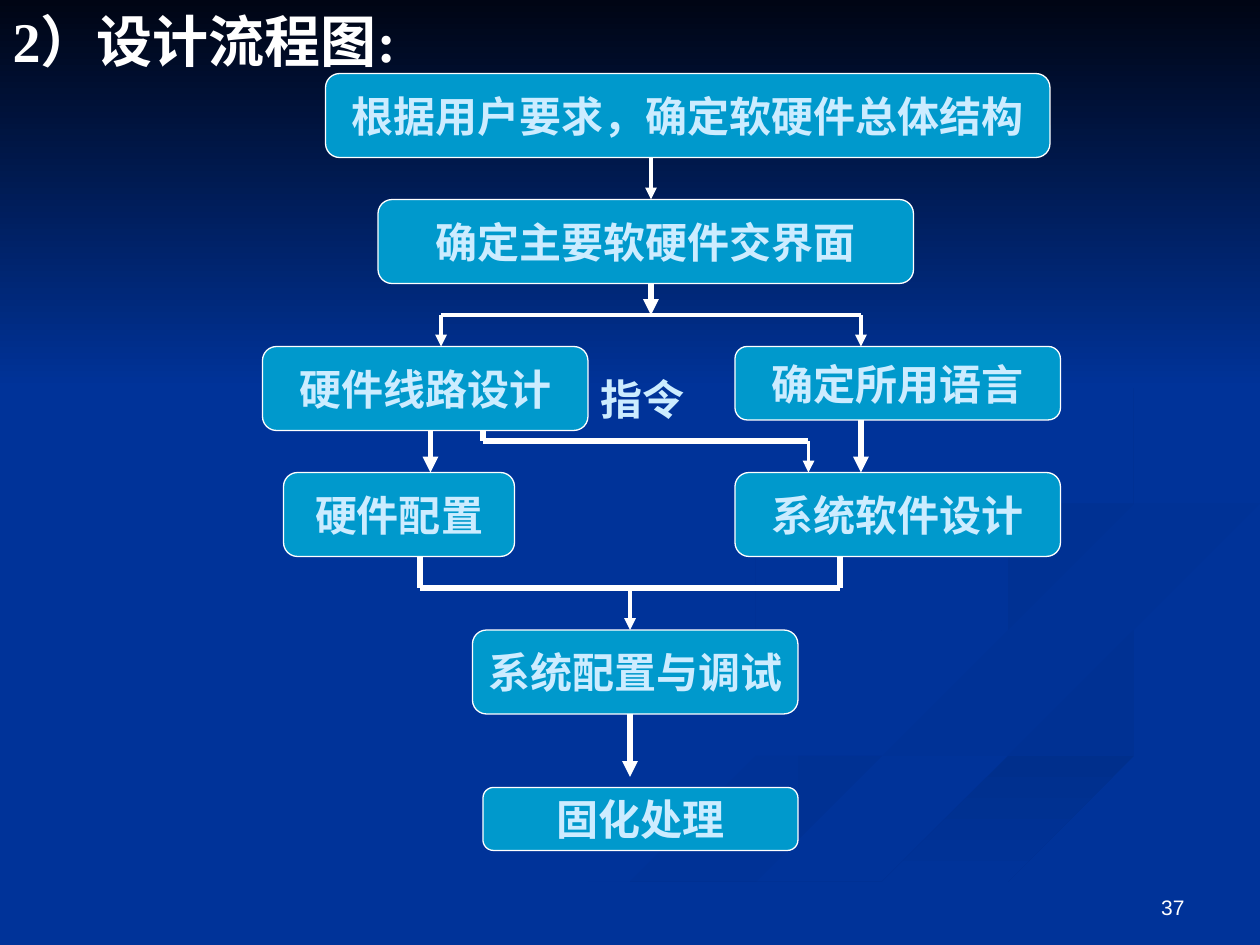
"""Build the design flow chart slide on a grid of 120 columns by 90 rows."""
from lxml.etree import SubElement
from pptx import Presentation
from pptx.dml.color import RGBColor
from pptx.enum.shapes import MSO_CONNECTOR as Link, MSO_SHAPE as Shape
from pptx.enum.text import MSO_ANCHOR as Anchor, MSO_AUTO_SIZE as AutoSize, PP_ALIGN as Align
from pptx.oxml.ns import qn
from pptx.util import Inches, Pt

WHITE = RGBColor(0xFF, 0xFF, 0xFF)
PALE = RGBColor(0xCC, 0xEC, 0xFF)
CYAN = RGBColor(0x00, 0x99, 0xCC)
BLUE = RGBColor(0x00, 0x33, 0x99)
SHADE = RGBColor(0x00, 0x31, 0x93)
DEEP = RGBColor(0x00, 0x2F, 0x8C)
NIGHT = RGBColor(0x00, 0x05, 0x14)

COLUMNS, ROWS = 120, 90
WIDTH, HEIGHT = Inches(10), Inches(7.5)

TITLE = ("2）设计流程图:", (0, 0, 55.8, 7.5))
LABEL = ("指令", (56, 35, 12, 6))
PAGE = ("37", (86, 82, 28, 6.2))
STEPS = [
    ("根据用户要求，确定软硬件总体结构", (31, 7, 69, 8)),
    ("确定主要软硬件交界面", (36, 19, 51, 8)),
    ("硬件线路设计", (25, 33, 31, 8)),
    ("确定所用语言", (70, 33, 31, 7)),
    ("硬件配置", (27, 45, 22, 8)),
    ("系统软件设计", (70, 45, 31, 8)),
    ("系统配置与调试", (45, 60, 31, 8)),
    ("固化处理", (46, 75, 30, 6)),
]
ARROWS = [
    ((62, 15), (62, 19), 2.25), ((62, 27), (62, 30), 3),
    ((42, 30), (42, 33), 2.25), ((82, 30), (82, 33), 2.25),
    ((41, 39), (41, 45), 3), ((82, 39), (82, 45), 3),
    ((77, 42), (77, 45), 2.25), ((60, 56), (60, 60), 2.25),
    ((60, 68), (60, 74), 3),
]
LINES = [
    ((42, 30), (82, 30), 2.25), ((46, 39), (46, 42), 3),
    ((46, 42), (77, 42), 3), ((40, 53), (40, 56), 3),
    ((40, 56), (80, 56), 3), ((80, 52), (80, 56), 3),
]
SWOOSHES = [
    (BLUE, SHADE, 0, [
        (7.81, 5.53), (7.45, 5.38), (6.82, 5.19), (6.26, 5.02), (5.94, 4.85), (5.76, 4.69),
        (5.75, 4.59), (5.7, 4.72), (5.86, 4.87), (6.11, 4.99), (6.79, 5.19), (7.41, 5.39),
        (7.76, 5.53), (7.86, 5.66), (7.74, 5.83), (7.39, 5.98), (6.84, 6.13), (5.79, 6.39),
        (4.99, 6.61), (4.17, 6.9), (3.38, 7.27), (3, 7.49), (3.61, 7.49), (4.31, 7.14),
        (4.99, 6.87), (5.64, 6.65), (6.51, 6.4), (7.4, 6.18), (7.8, 6.05), (7.95, 5.92),
        (8, 5.81), (7.95, 5.67)]),
    (BLUE, SHADE, 315, [
        (9.43, 5.7), (9.35, 5.57), (9.05, 5.4), (8.5, 5.24), (7.92, 5.09), (7.45, 4.9),
        (7.27, 4.74), (7.24, 4.64), (7.27, 4.79), (7.46, 5), (7.81, 5.18), (8.38, 5.36),
        (8.8, 5.49), (9.07, 5.62), (9.18, 5.81), (9.11, 5.93), (8.94, 6.05), (9.25, 5.93),
        (9.41, 5.81)]),
    (DEEP, BLUE, 270, [
        (5.03, 7.49), (5.71, 7.49), (6.14, 7.26), (6.7, 7.02), (7.52, 6.72), (8.61, 6.4),
        (9.98, 6.09), (9.98, 5.81), (9.63, 5.94), (9.03, 6.1), (7.97, 6.38), (6.96, 6.69),
        (6.3, 6.93), (5.69, 7.19), (5.19, 7.47)]),
    (SHADE, BLUE, 315, [
        (7.81, 4.6), (7.86, 4.74), (8.06, 4.87), (8.26, 4.96), (8.09, 4.84), (8.05, 4.72),
        (8.16, 4.59), (8.43, 4.48), (8.96, 4.35), (9.54, 4.26), (9.98, 4.2), (9.98, 4.02),
        (9.33, 4.15), (8.65, 4.24), (8.21, 4.34), (7.91, 4.47)]),
    (DEEP, BLUE, 315, [
        (6.83, 4.3), (7.64, 4.17), (8.25, 4.02), (8.67, 3.84), (8.89, 3.62), (8.94, 3.44),
        (8.86, 3.16), (8.64, 2.91), (8.21, 2.61), (7.62, 2.33), (8.26, 2.66), (8.62, 2.92),
        (8.85, 3.2), (8.88, 3.41), (8.7, 3.65), (8.3, 3.82), (7.33, 4.04), (6.49, 4.2),
        (5.97, 4.37), (5.78, 4.56), (5.84, 4.79), (6.22, 5), (5.97, 4.8), (5.94, 4.65),
        (6.14, 4.48), (6.49, 4.36)]),
]

STEP_FONT = {"name": "Lato", "size": Pt(24), "bold": True}
TITLE_FONT = {"name": "Times New Roman", "size": Pt(32), "bold": True}
PAGE_FONT = {"name": "Arial", "size": Pt(12), "bold": False}


def across(column):
    return round(WIDTH * column / COLUMNS)


def down(row):
    return round(HEIGHT * row / ROWS)


def place(cells):
    left, top, width, height = cells
    return across(left), down(top), across(width), down(height)


def write(frame, words, font, color, align=Align.LEFT, anchor=Anchor.TOP, wrap=True):
    layout = {"text": words, "word_wrap": wrap, "vertical_anchor": anchor,
              "auto_size": AutoSize.NONE}
    for key, value in layout.items():
        setattr(frame, key, value)
    paragraph = frame.paragraphs[0]
    paragraph.alignment = align
    for key, value in font.items():
        setattr(paragraph.runs[0].font, key, value)
    paragraph.runs[0].font.color.rgb = color


def shade(area, first, last, angle):
    area.shadow.inherit = False
    area.line.fill.background()
    area.fill.gradient()
    area.fill.gradient_angle = angle
    for stop, color, position in zip(area.fill.gradient_stops, (first, last), (0, 1)):
        stop.color.rgb = color
        stop.position = position


def draw_line(shapes, start, end, weight, arrow):
    line = shapes.add_connector(Link.STRAIGHT, across(start[0]), down(start[1]),
                                across(end[0]), down(end[1]))
    line.line.color.rgb = WHITE
    line.line.width = Pt(weight)
    if arrow:
        SubElement(line.line._get_or_add_ln(), qn("a:tailEnd"), type="triangle")
    SubElement(line._element.spPr, qn("a:effectLst"))


def add_step(shapes, words, cells):
    step = shapes.add_shape(Shape.ROUNDED_RECTANGLE, *place(cells))
    step.shadow.inherit = False
    step.fill.solid()
    step.fill.fore_color.rgb = CYAN
    step.line.color.rgb = WHITE
    step.line.width = Pt(0.75)
    write(step.text_frame, words, STEP_FONT, PALE, Align.CENTER, Anchor.MIDDLE, False)


def main():
    deck = Presentation()
    deck.slide_width, deck.slide_height = WIDTH, HEIGHT
    slide = deck.slides.add_slide(deck.slide_layouts[5])
    shapes = slide.shapes
    slide.background.fill.solid()
    slide.background.fill.fore_color.rgb = BLUE

    for first, last, angle, points in SWOOSHES:
        outline = shapes.build_freeform(*points[0], scale=Inches(1))
        outline.add_line_segments(points[1:])
        shade(outline.convert_to_shape(), first, last, angle)
    sky = shapes.add_shape(Shape.RECTANGLE, *place((0, 0, COLUMNS, 37)))
    shade(sky, NIGHT, BLUE, 270)

    for arrow, links in ((True, ARROWS), (False, LINES)):
        for start, end, weight in links:
            draw_line(shapes, start, end, weight, arrow)
    for words, cells in STEPS:
        add_step(shapes, words, cells)

    words, cells = LABEL
    write(shapes.add_textbox(*place(cells)).text_frame, words, STEP_FONT, PALE)
    words, cells = PAGE
    write(shapes.add_textbox(*place(cells)).text_frame, words, PAGE_FONT, WHITE,
          Align.RIGHT, Anchor.BOTTOM)

    words, cells = TITLE
    title = shapes.title
    title.left, title.top, title.width, title.height = place(cells)
    write(title.text_frame, words, TITLE_FONT, WHITE)
    shapes._spTree.append(title._element)
    deck.save("out.pptx")


if __name__ == "__main__":
    main()
